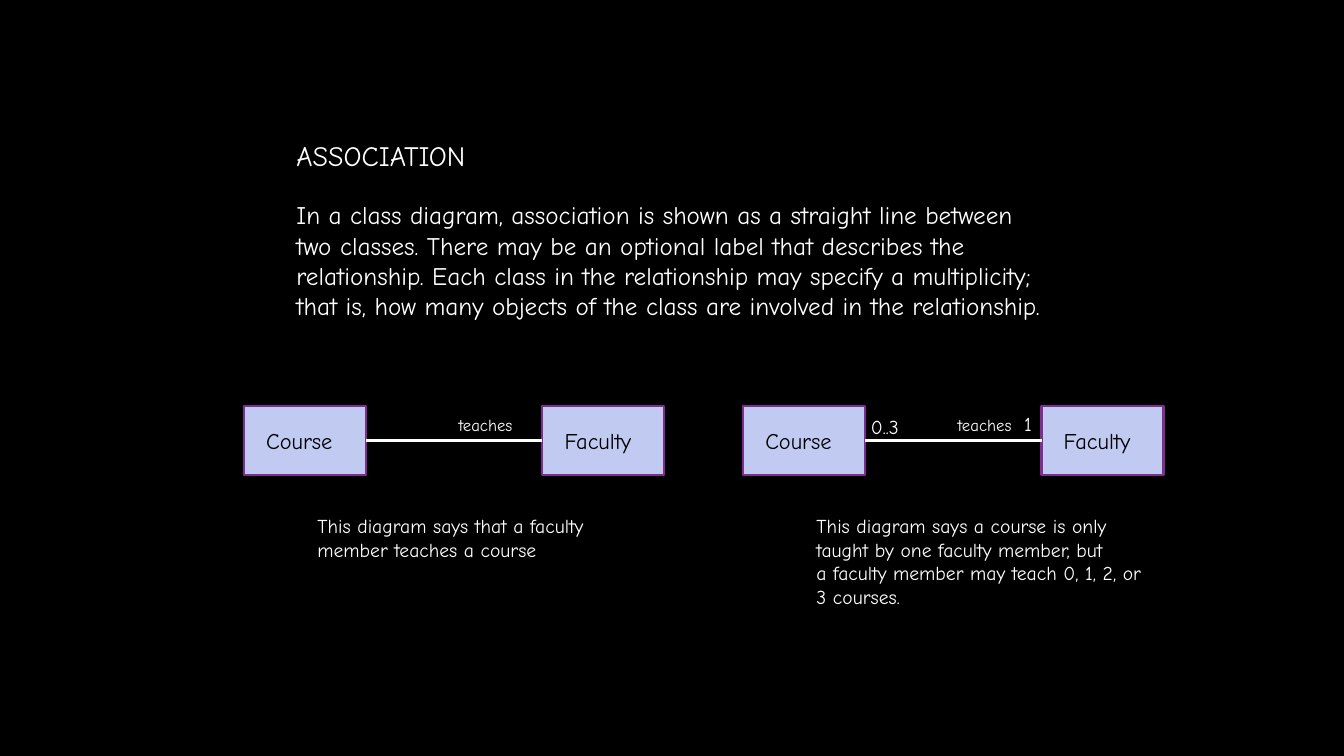
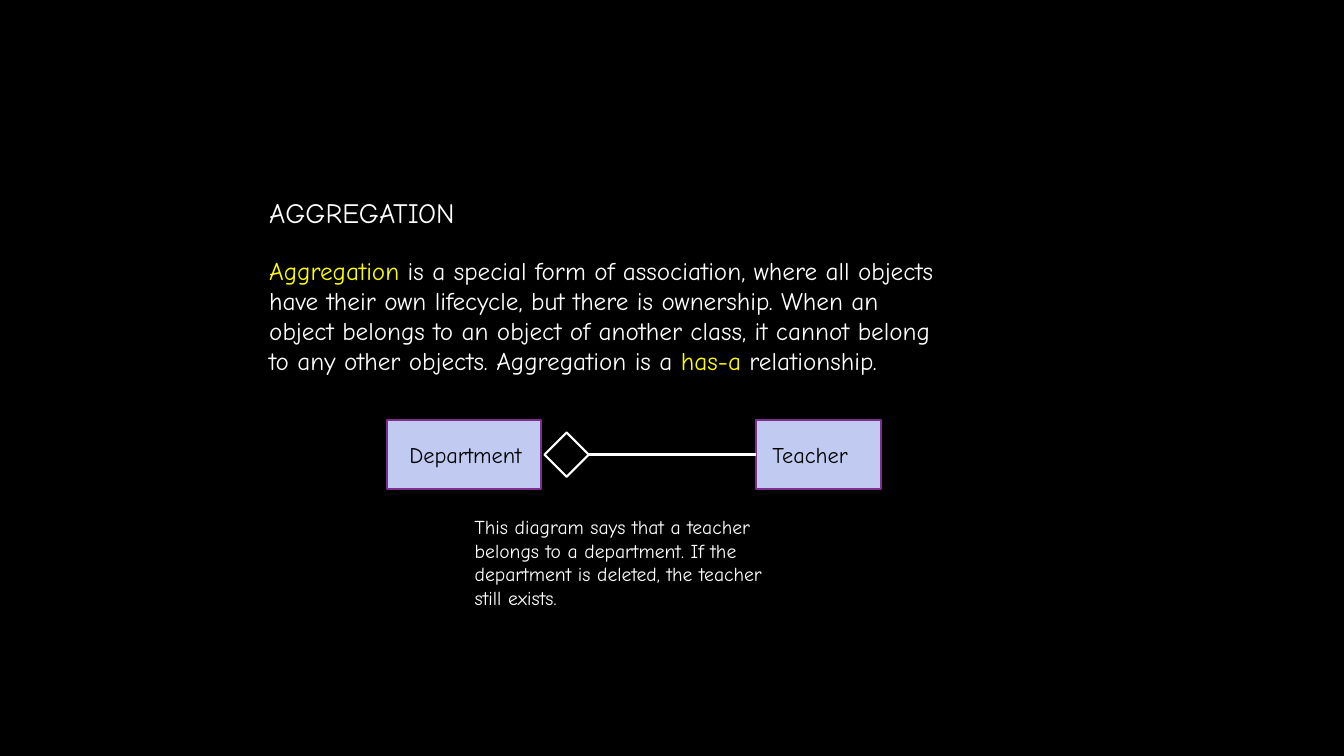
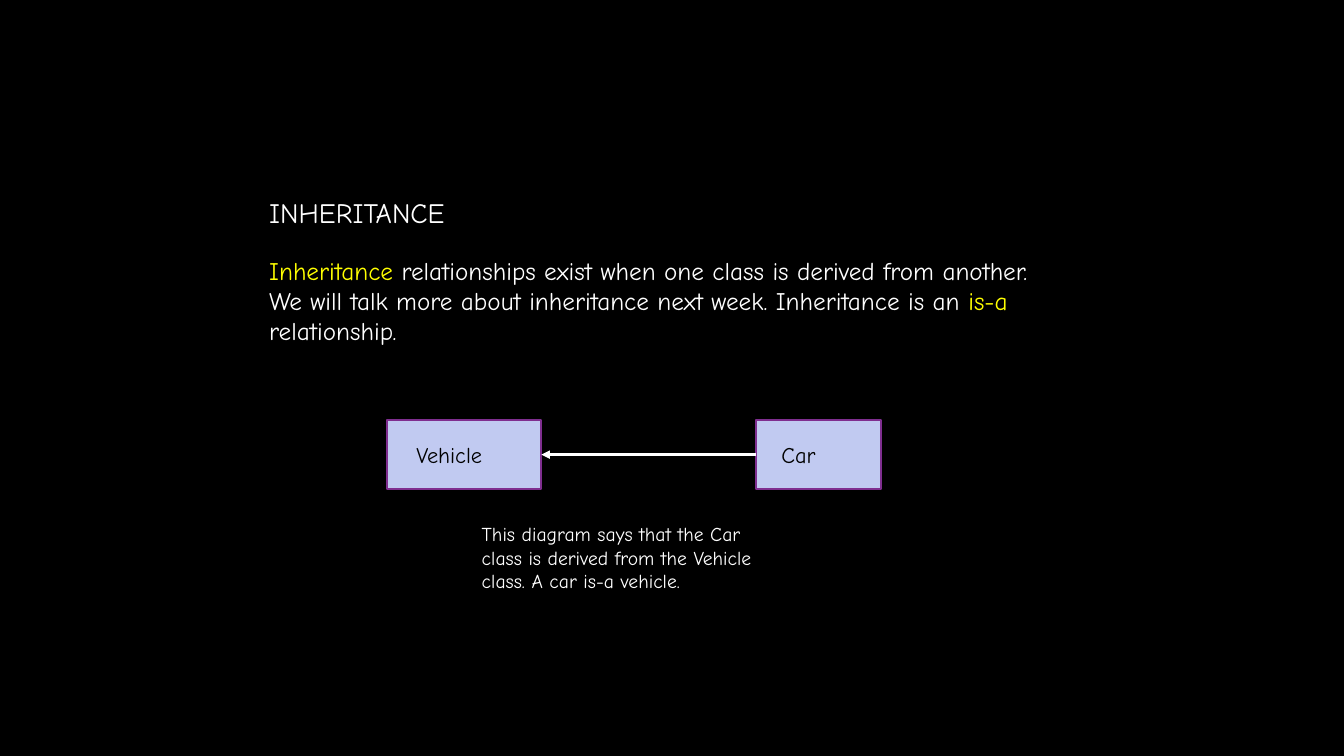
import pptx
import pptx.dml.color
import pptx.enum.shapes
import pptx.enum.text
import pptx.oxml.ns
import pptx.util
from lxml import etree

Inches = pptx.util.Inches
Shape = pptx.enum.shapes.MSO_SHAPE
Anchor = pptx.enum.text.MSO_ANCHOR
qn = pptx.oxml.ns.qn

FONT = "Comic Neue"
BLACK, WHITE, YELLOW = "000000", "FFFFFF", "FFFF00"
LILAC, PURPLE = "C1CAF1", "7F2E8F"


def paint(target, color):
    """Give a fill a solid colour."""
    target.solid()
    target.fore_color.rgb = pptx.dml.color.RGBColor.from_string(color)


def write(frame, lines, size=14, color=WHITE, mark=YELLOW, anchor=Anchor.TOP, inset=0.1):
    """Fill a frame with lines, colouring the parts between asterisks."""
    frame.word_wrap = True
    frame.auto_size = pptx.enum.text.MSO_AUTO_SIZE.NONE
    frame.vertical_anchor = anchor
    frame.margin_left = Inches(inset)
    frame.margin_right = 0
    for index, line in enumerate(lines):
        para = frame.add_paragraph() if index else frame.paragraphs[0]
        para.alignment = pptx.enum.text.PP_ALIGN.LEFT
        para.space_before = 0
        for turn, part in enumerate(line.split("*")):
            if part:
                run = para.add_run()
                run.text = part
                run.font.name = FONT
                run.font.size = pptx.util.Pt(size)
                paint(run.font.fill, mark if turn % 2 else color)


class Deck:
    """Hold the deck style and the current slide."""

    def __init__(self):
        """Start a wide deck with a black master."""
        self.prs = pptx.Presentation()
        self.prs.slide_width = Inches(13.33)
        self.prs.slide_height = Inches(7.5)
        paint(self.prs.slide_master.background.fill, BLACK)
        self.slide = None

    def page(self, left, top, title, lines, gap=0.59):
        """Add a slide with its title and body text."""
        self.slide = self.prs.slides.add_slide(self.prs.slide_layouts[1])
        head, body = self.slide.placeholders
        self.place(head, left, top, 4, 0.44)
        write(head.text_frame, [title], size=20)
        self.place(body, left, top + gap, 8.66, 0.3 * len(lines) + 0.1)
        write(body.text_frame, lines, size=18)
        for para in body.text_frame.paragraphs:
            props = para._p.get_or_add_pPr()
            props.set("marL", "0")
            props.set("indent", "0")
            etree.SubElement(props, qn("a:buNone"))

    def place(self, item, left, top, width, height):
        """Move and size a placeholder."""
        item.left, item.top = Inches(left), Inches(top)
        item.width, item.height = Inches(width), Inches(height)

    def label(self, left, top, width, *lines, size=14):
        """Add a free text label."""
        height = 0.24 * len(lines) + 0.1
        box = self.slide.shapes.add_textbox(
            Inches(left), Inches(top), Inches(width), Inches(height))
        write(box.text_frame, lines, size=size)

    def shape(self, kind, left, top, width, height, line):
        """Add an outlined shape without fill."""
        item = self.slide.shapes.add_shape(
            kind, Inches(left), Inches(top), Inches(width), Inches(height))
        item.shadow.inherit = False
        item.fill.background()
        paint(item.line.fill, line)
        item.line.width = pptx.util.Pt(1.5)
        return item

    def box(self, name, left, top, width, inset=0.22):
        """Add a named class box."""
        item = self.shape(Shape.RECTANGLE, left, top, width, 0.68, PURPLE)
        paint(item.fill, LILAC)
        write(item.text_frame, [name], size=16, color=BLACK,
              anchor=Anchor.MIDDLE, inset=inset)
        return item

    def link(self, start, end, arrow=False):
        """Join the right side of one shape to the left side of another."""
        line = self.slide.shapes.add_connector(
            pptx.enum.shapes.MSO_CONNECTOR.STRAIGHT, 0, 0, 0, 0)
        line.begin_connect(start, 3)
        line.end_connect(end, 1)
        paint(line.line.fill, WHITE)
        line.line.width = pptx.util.Pt(2)
        props = line.element.spPr
        if arrow:
            etree.SubElement(props.find(qn("a:ln")), qn("a:headEnd"), type="triangle")
        etree.SubElement(props, qn("a:effectLst"))

    def teach(self, left, *lines):
        """Add the course and faculty diagram with its caption."""
        course = self.box("Course", left, 4.03, 1.21)
        staff = self.box("Faculty", left + 2.96, 4.03, 1.21)
        self.link(course, staff)
        self.label(left + 2.03, 4.07, 0.82, "teaches", size=12)
        self.label(left + 0.63, 5.05, 3.7, *lines)

    def pair(self, first, second, pads):
        """Add two facing class boxes and return them."""
        return (self.box(first, 3.84, 4.17, 1.53, pads[0]),
                self.box(second, 7.5, 4.17, 1.24, pads[1]))


def main():
    """Build and save the deck."""
    deck = Deck()

    deck.page(2.84, 1.32, "ASSOCIATION", [
        "In a class diagram, association is shown as a straight line between",
        "two classes. There may be an optional label that describes the",
        "relationship. Each class in the relationship may specify a multiplicity;",
        "that is, how many objects of the class are involved in the relationship.",
    ], gap=0.61)
    deck.teach(2.42, "This diagram says that a faculty", "member teaches a course")
    deck.teach(7.37, "This diagram says a course is only",
               "taught by one faculty member, but",
               "a faculty member may teach 0, 1, 2, or", "3 courses.")
    deck.label(10.06, 4.04, 0.29, "1")
    deck.label(8.54, 4.07, 0.54, "0..3")

    deck.page(2.57, 1.89, "AGGREGATION", [
        "*Aggregation* is a special form of association, where all objects",
        "have their own lifecycle, but there is ownership. When an",
        "object belongs to an object of another class, it cannot belong",
        "to any other objects. Aggregation is a *has-a* relationship.",
    ])
    whole, part = deck.pair("Department", "Teacher", (0.22, 0.16))
    gem = deck.shape(Shape.DIAMOND, 5.4, 4.29, 0.44, 0.44, WHITE)
    deck.link(gem, part)
    deck.label(4.61, 5.06, 3.44, "This diagram says that a teacher",
               "belongs to a department. If the",
               "department is deleted, the teacher", "still exists.")

    deck.page(2.57, 1.89, "INHERITANCE", [
        "*Inheritance* relationships exist when one class is derived from another.",
        "We will talk more about inheritance next week. Inheritance is an *is-a*",
        "relationship.",
    ])
    base, child = deck.pair("Vehicle", "Car", (0.29, 0.25))
    deck.link(base, child, arrow=True)
    deck.label(4.68, 5.13, 3.27, "This diagram says that the Car",
               "class is derived from the Vehicle", "class. A car is-a vehicle.")

    deck.prs.save("out.pptx")


if __name__ == "__main__":
    main()
